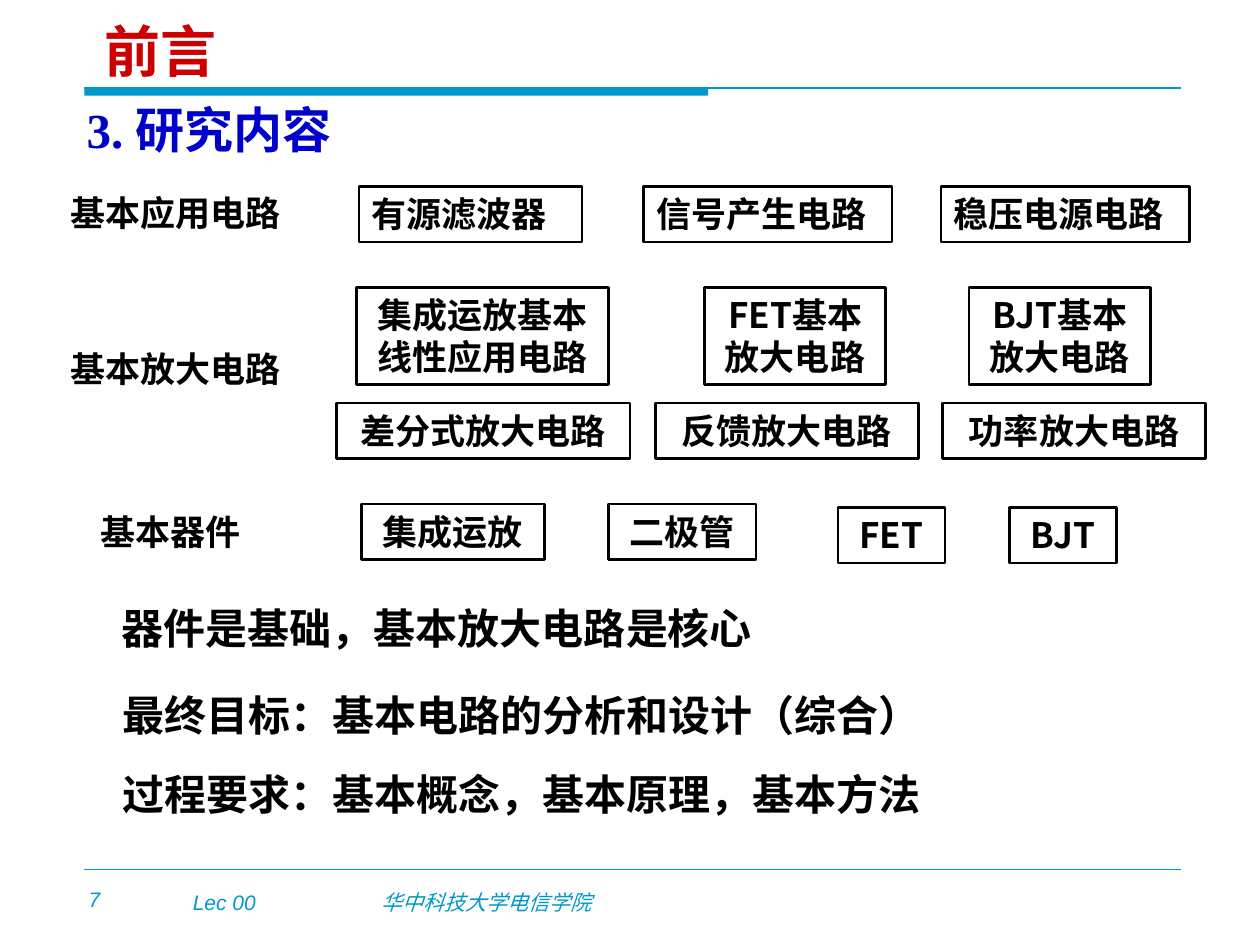
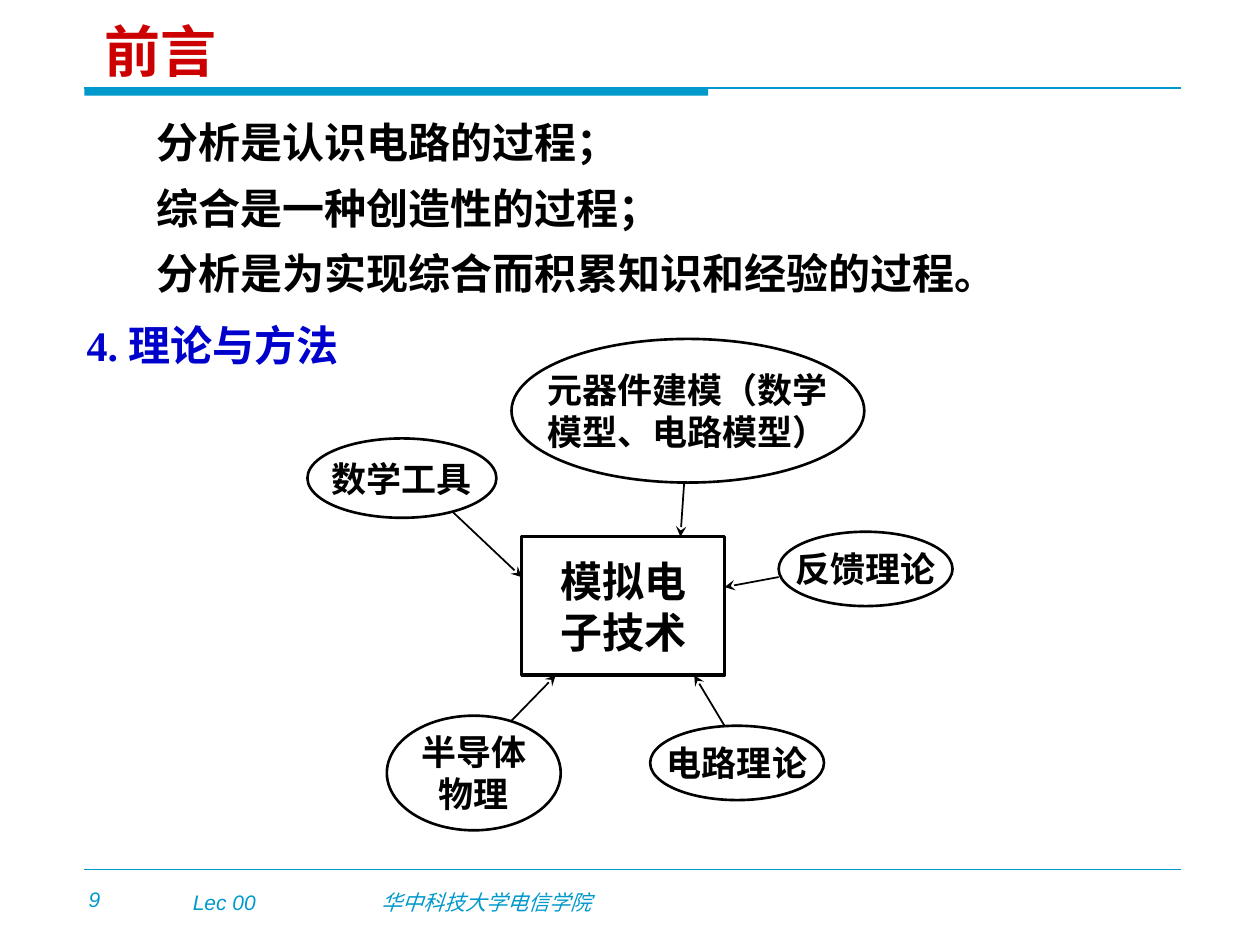
"""Build two lecture slides on the content and methods of analog electronics."""
from dataclasses import dataclass

from lxml.etree import SubElement
from pptx import Presentation
from pptx.dml.color import RGBColor
from pptx.enum.shapes import MSO_CONNECTOR as Connector, MSO_SHAPE as Shape
from pptx.enum.text import MSO_ANCHOR as Anchor, MSO_AUTO_SIZE as AutoSize, PP_ALIGN as Align
from pptx.oxml.ns import qn
from pptx.util import Inches, Pt


@dataclass(frozen=True)
class Theme:
    """Colours, fonts and type sizes shared by the slides."""
    accent: str = "0099CC"
    title: str = "CC0000"
    heading: str = "0000CC"
    ink: str = "000000"
    paper: str = "FFFFFF"
    sans: str = "Noto Sans CJK SC"
    serif: str = "Times New Roman"
    footer: str = "Arial"
    title_size: int = 32
    body_size: int = 24
    label_size: int = 20
    footer_size: int = 12


THEME = Theme()
TITLE = "前言"
MARGIN_LEFT, MARGIN_RIGHT = 0.67, 9.37
INSETS = (0.1, 0.05)

FOOTERS = [("Lec 00", 1.53, 0.71), ("华中科技大学电信学院", 3.03, 2.89)]

CONTENT = {
    "number": "7",
    "heading": ("3. 研究内容", 28, (0.59, 0.79, 2.24, 0.52)),
    "body": ["最终目标：基本电路的分析和设计（综合）", "过程要求：基本概念，基本原理，基本方法"],
    "body_box": (0.87, 5.28, 7.13, 1.27),
    "spacing": (1.35, 6),
}
KEY_POINT = ("器件是基础，基本放大电路是核心", (0.87, 4.73, 7.13, 0.5))
ROW_LABELS = [("基本应用电路", 0.46, 1.47, 2), ("基本放大电路", 0.46, 2.71, 2), ("基本器件", 0.7, 4, 1.48)]
CIRCUIT_ROWS = [
    (1.48, 0.44, Align.LEFT, [("有源滤波器", 2.85, 1.77), ("信号产生电路", 5.11, 1.97), ("稳压电源电路", 7.47, 1.97)]),
    (2.28, 0.77, Align.CENTER, [("集成运放基本线性应用电路", 2.83, 2), ("FET基本放大电路", 5.59, 1.44),
                                ("BJT基本放大电路", 7.69, 1.44)]),
    (3.2, 0.44, Align.CENTER, [("差分式放大电路", 2.67, 2.33), ("反馈放大电路", 5.2, 2.09), ("功率放大电路", 7.48, 2.09)]),
    (4, 0.44, Align.CENTER, [("集成运放", 2.87, 1.45), ("二极管", 4.83, 1.17)]),
    (4.03, 0.44, Align.CENTER, [("FET", 6.65, 0.85), ("BJT", 8.01, 0.85)]),
]

METHODS = {
    "number": "9",
    "heading": ("4. 理论与方法", 24, (0.59, 2.53, 2.8, 0.46)),
    "body": ["分析是认识电路的过程；", "综合是一种创造性的过程；", "分析是为实现综合而积累知识和经验的过程。"],
    "body_box": (1.14, 0.81, 7.07, 1.61),
    "spacing": (1.15, 4.5),
}
SUBJECT = ("模拟电\v子技术", (4.14, 4.26, 1.61, 1.1))
FOUNDATIONS = [
    ("数学工具", (2.44, 3.48, 1.5, 0.63), (3.59, 4.06), (4.14, 4.58)),
    ("半导体\v物理", (3.07, 5.68, 1.38, 0.91), (4.06, 5.72), (4.41, 5.36)),
    ("电路理论", (5.16, 5.76, 1.38, 0.59), (5.75, 5.76), (5.51, 5.36)),
    ("元器件建模（数学\v模型、电路模型）", (4.06, 2.69, 2.8, 1.14), (5.43, 3.83), (5.4, 4.26)),
    ("反馈理论", (6.18, 4.22, 1.38, 0.59), (6.18, 4.58), (5.75, 4.66)),
]


def color(value):
    return RGBColor.from_string(value)


def inches(box):
    return [Inches(length) for length in box]


def write(shape, lines, size, ink=THEME.ink, font=THEME.sans, bold=True, italic=False, align=Align.LEFT,
          anchor=Anchor.TOP, insets=INSETS, spacing=(1.0, 0), wrap=True):
    """Fill a shape with formatted paragraphs."""
    frame = shape.text_frame
    frame.text = "\n".join(lines)
    frame.word_wrap, frame.auto_size, frame.vertical_anchor = wrap, AutoSize.NONE, anchor
    frame.margin_left = frame.margin_right = Inches(insets[0])
    frame.margin_top = frame.margin_bottom = Inches(insets[1])
    for index, paragraph in enumerate(frame.paragraphs):
        paragraph.alignment = align
        paragraph.line_spacing = spacing[0]
        paragraph.space_before = Pt(spacing[1] if index else 0)
        for run in paragraph.runs:
            run.font.size, run.font.name = Pt(size), font
            run.font.bold, run.font.italic = bold, italic
            run.font.color.rgb = color(ink)
            SubElement(run.font._element, qn("a:ea")).set("typeface", THEME.sans)


def add_label(slide, text, box, size, **style):
    write(slide.shapes.add_textbox(*inches(box)), [text], size, **style)


def add_outline(slide, kind, box, width, fill=None):
    shape = slide.shapes.add_shape(kind, *inches(box))
    shape.shadow.inherit = False
    if fill:
        shape.fill.solid()
        shape.fill.fore_color.rgb = color(fill)
    else:
        shape.fill.background()
    shape.line.color.rgb = color(THEME.ink)
    shape.line.width = Pt(width)
    return shape


def add_line(slide, start, end, ink, arrow=False):
    line = slide.shapes.add_connector(Connector.STRAIGHT, *inches(start + end))
    line.line.color.rgb = color(ink)
    line.line.width = Pt(1)
    SubElement(line._element.spPr, qn("a:effectLst"))
    if arrow:
        SubElement(line.line._get_or_add_ln(), qn("a:tailEnd")).set("type", "stealth")


def place(placeholder, box):
    placeholder.left, placeholder.top, placeholder.width, placeholder.height = inches(box)


def remove_bullets(placeholder):
    for paragraph in placeholder.text_frame.paragraphs:
        properties = paragraph._element.get_or_add_pPr()
        properties.set("marL", "0")
        properties.set("indent", "0")
        SubElement(properties, qn("a:buNone"))


def add_base_slide(presentation, content):
    """Add a slide with the shared band, footer, title, heading and body."""
    slide = presentation.slides.add_slide(presentation.slide_layouts[1])
    band = slide.shapes.add_shape(Shape.RECTANGLE, *inches((MARGIN_LEFT, 0.7, 4.95, 0.06)))
    band.shadow.inherit = False
    band.fill.solid()
    band.fill.fore_color.rgb = color(THEME.accent)
    band.line.fill.background()
    for top in (0.7, 6.9):
        add_line(slide, (MARGIN_LEFT, top), (MARGIN_RIGHT, top), THEME.accent)

    footer_style = dict(ink=THEME.accent, font=THEME.footer, bold=False, italic=True)
    for text, left, width in FOOTERS:
        add_label(slide, text, (left, 7.06, width, 0.2), THEME.footer_size, insets=(0, 0), **footer_style)
    add_label(slide, content["number"], (0.2, 6.99, 1.1, 0.3), THEME.footer_size, align=Align.CENTER, **footer_style)

    title, body = slide.placeholders
    place(title, (0.83, 0.13, 3.98, 0.53))
    write(title, [TITLE], THEME.title_size, ink=THEME.title, anchor=Anchor.MIDDLE, insets=(0, 0))
    place(body, content["body_box"])
    write(body, content["body"], THEME.body_size, anchor=Anchor.MIDDLE, spacing=content["spacing"])
    remove_bullets(body)

    text, size, box = content["heading"]
    add_label(slide, text, box, size, ink=THEME.heading, font=THEME.serif, spacing=(0.9, 0))
    return slide


def add_content_slide(presentation):
    slide = add_base_slide(presentation, CONTENT)
    for text, left, top, width in ROW_LABELS:
        add_label(slide, text, (left, top, width, 0.44), THEME.label_size)
    for top, height, align, circuits in CIRCUIT_ROWS:
        for text, left, width in circuits:
            shape = add_outline(slide, Shape.RECTANGLE, (left, top, width, height), 1.5, THEME.paper)
            write(shape, [text], THEME.label_size, align=align)
    add_label(slide, *KEY_POINT, THEME.body_size, anchor=Anchor.MIDDLE)


def add_methods_slide(presentation):
    slide = add_base_slide(presentation, METHODS)
    node_style = dict(align=Align.CENTER, anchor=Anchor.MIDDLE, insets=(0, 0), wrap=False)
    text, box = SUBJECT
    write(add_outline(slide, Shape.RECTANGLE, box, 2), [text], THEME.body_size, **node_style)
    for text, box, start, end in FOUNDATIONS:
        write(add_outline(slide, Shape.OVAL, box, 1.5), [text], THEME.label_size, **node_style)
        add_line(slide, start, end, THEME.ink, arrow=True)


def main():
    presentation = Presentation()
    presentation.slide_width, presentation.slide_height = Inches(10), Inches(7.5)
    add_content_slide(presentation)
    add_methods_slide(presentation)
    presentation.save("out.pptx")


if __name__ == "__main__":
    main()
